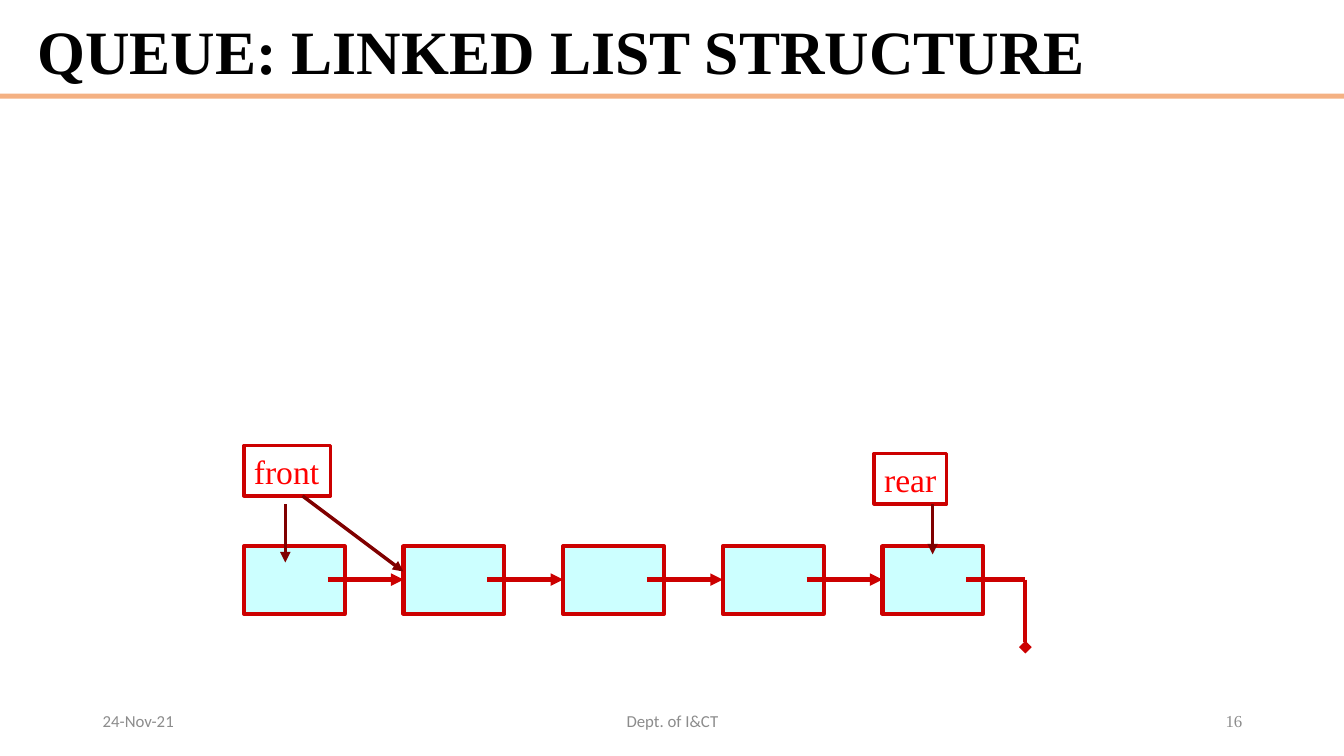
from lxml import etree
from pptx import Presentation
from pptx.dml.color import RGBColor
from pptx.enum.shapes import MSO_CONNECTOR, MSO_SHAPE
from pptx.enum.text import MSO_ANCHOR, MSO_AUTO_SIZE, PP_ALIGN
from pptx.oxml.ns import qn
from pptx.util import Inches, Pt

RECT = MSO_SHAPE.RECTANGLE
LINE = MSO_CONNECTOR.STRAIGHT
TOP, MIDDLE = MSO_ANCHOR.TOP, MSO_ANCHOR.MIDDLE
LEFT, CENTER, RIGHT = PP_ALIGN.LEFT, PP_ALIGN.CENTER, PP_ALIGN.RIGHT
FIT = MSO_AUTO_SIZE.SHAPE_TO_FIT_TEXT

BLACK = RGBColor(0x00, 0x00, 0x00)
ORANGE = RGBColor(0xF4, 0xB1, 0x83)
CYAN = RGBColor(0xCC, 0xFF, 0xFF)
CRIMSON = RGBColor(0xCC, 0x00, 0x00)
RED = RGBColor(0xFF, 0x00, 0x00)
MAROON = RGBColor(0x80, 0x00, 0x00)
GRAY = RGBColor(0x8C, 0x8C, 0x8C)
SERIF, SANS = "Times New Roman", "Calibri"

# Row of list nodes
COUNT = 5
START, PITCH = 2.42, 19 / 12
NODE_TOP, NODE_W, NODE_H = 5.42, 1, 0.67
LINK_Y, LINK_DX = 5.75, 0.83


def write(shape, text, size, color, font=SERIF, bold=False, align=LEFT,
          anchor=MIDDLE, wrap=True, spacing=None):
    frame = shape.text_frame
    frame.word_wrap = wrap
    frame.vertical_anchor = anchor
    para = frame.paragraphs[0]
    para.alignment = align
    para.line_spacing = spacing
    run = para.add_run()
    run.text = text
    run.font.name = font
    run.font.size = Pt(size)
    run.font.bold = bold
    run.font.color.rgb = color


def add_text(slide, box, text, size, color, **style):
    shape = slide.shapes.add_textbox(*map(Inches, box))
    write(shape, text, size, color, **style)


def add_rect(slide, box, fill=None, line=None, width=3):
    shape = slide.shapes.add_shape(RECT, *map(Inches, box))
    shape.shadow.inherit = False
    if fill is None:
        shape.fill.background()
    else:
        shape.fill.solid()
        shape.fill.fore_color.rgb = fill
    if line is None:
        shape.line.fill.background()
    else:
        shape.line.color.rgb = line
        shape.line.width = Pt(width)
    return shape


def add_label(slide, box, text):
    shape = add_rect(slide, box, line=CRIMSON, width=2.5)
    write(shape, text, 24, RED, anchor=TOP, wrap=False)
    shape.text_frame.auto_size = FIT


def add_line(slide, start, end, color=CRIMSON, width=3, head="triangle"):
    line = slide.shapes.add_connector(LINE, *map(Inches, start + end))
    line.line.color.rgb = color
    line.line.width = Pt(width)
    if head:
        etree.SubElement(line.line._get_or_add_ln(), qn("a:tailEnd"), type=head)
    etree.SubElement(line._element.spPr, qn("a:effectLst"))


def add_queue(slide):
    lefts = [START + i * PITCH for i in range(COUNT)]
    for left in lefts:
        add_rect(slide, (left, NODE_TOP, NODE_W, NODE_H), CYAN, CRIMSON)
    for left, after in zip(lefts, lefts[1:]):
        add_line(slide, (left + LINK_DX, LINK_Y), (after, LINK_Y))

    # Null link that ends the list
    corner = (10.17, LINK_Y)
    add_line(slide, (lefts[-1] + LINK_DX, LINK_Y), corner, head=None)
    add_line(slide, corner, (10.17, 6.42), head="diamond")


def main():
    prs = Presentation()
    prs.slide_width, prs.slide_height = Inches(13.33), Inches(7.5)
    slide = prs.slides.add_slide(prs.slide_layouts[6])

    # Title and rule
    add_rect(slide, (0, 0.93, 13.33, 0.05), ORANGE)
    add_text(slide, (0.27, 0.15, 12.15, 0.79), "QUEUE: LINKED LIST STRUCTURE",
             44, BLACK, bold=True, spacing=0.9)

    # Footer
    for left, width, text, font, align in (
            (0.92, 3, "24-Nov-21", SANS, LEFT),
            (4.42, 4.5, "Dept. of I&CT", SANS, CENTER),
            (9.42, 3, "16", SERIF, RIGHT)):
        add_text(slide, (left, 6.95, width, 0.4), text, 12, GRAY,
                 font=font, align=align)

    add_queue(slide)

    # Front and rear pointers
    add_label(slide, (2.42, 4.42, 0.86, 0.5), "front")
    add_label(slide, (8.67, 4.5, 0.72, 0.5), "rear")
    for start, end in (((2.83, 5), (2.83, 5.58)),
                       ((9.25, 5), (9.25, 5.5)),
                       ((3, 4.92), (4, 5.67))):
        add_line(slide, start, end, MAROON, 2.5)

    prs.save("out.pptx")


if __name__ == "__main__":
    main()
